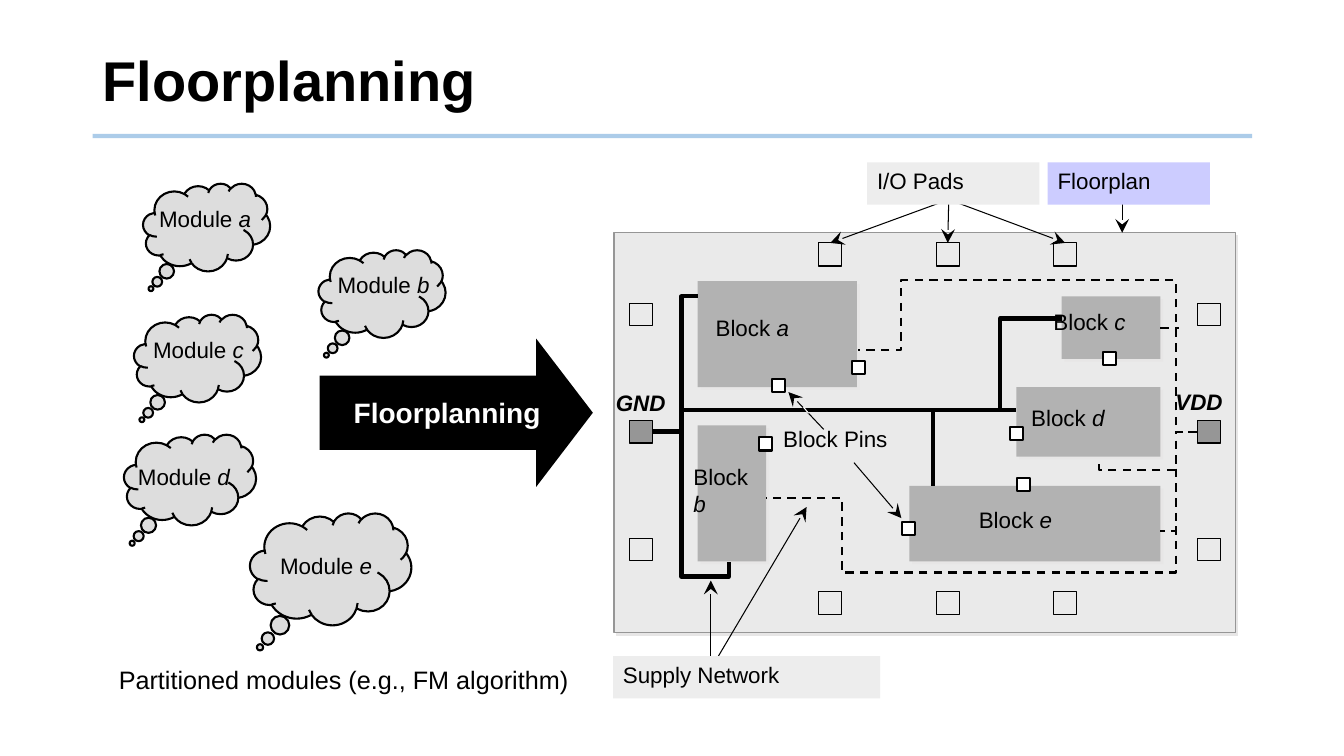
import lxml.etree
import pptx
import pptx.dml.color
import pptx.enum.dml
import pptx.enum.shapes
import pptx.enum.text
import pptx.oxml.ns
import pptx.util

# Grid of 133.3 columns by 75 rows, each a tenth of an inch
CELL = pptx.util.Inches(0.1)
COLUMNS, ROWS = 133.3, 75

COLORS = {
    "ink": "000000", "paper": "FFFFFF", "rule": "5B9BD5", "cloud": "DDDDDD",
    "die": "EAEAEA", "die edge": "969696", "block": "B2B2B2", "shade": "E7E6E6",
    "supply": "969696", "label": "EDEDED", "floorplan": "CCCCFF",
}
FONT = {"name": "Arial", "size": pptx.util.Pt(16), "bold": False, "italic": False}
FRAME = {"word_wrap": True, "vertical_anchor": pptx.enum.text.MSO_ANCHOR.TOP}
SHAPES = pptx.enum.shapes.MSO_SHAPE
qn = pptx.oxml.ns.qn


def grid(*cells):
    return [round(cell * CELL) for cell in cells]


def color(name):
    return pptx.dml.color.RGBColor.from_string(COLORS[name])


def set_all(target, values):
    for key, value in values.items():
        setattr(target, key, value)


def stroke(part, name, width, dashed=False):
    part.line.color.rgb = color(name)
    part.line.width = pptx.util.Pt(width)
    if dashed:
        part.line.dash_style = pptx.enum.dml.MSO_LINE.DASH


def write(part, text, variable="", ink="ink", frame=None, **font):
    """Write text, then an italic variable name."""
    set_all(part.text_frame, FRAME | (frame or {}))
    paragraph = part.text_frame.paragraphs[0]
    paragraph.alignment = pptx.enum.text.PP_ALIGN.LEFT
    for words, style in ((text, font), (variable, font | {"italic": True})):
        if not words:
            continue
        if words == variable and text == "Block":
            paragraph.add_line_break()
        run = paragraph.add_run()
        run.text = words
        set_all(run.font, FONT | style)
        run.font.color.rgb = color(ink)
    return paragraph


def add_text(slide, box, text, variable="", **options):
    return write(slide.shapes.add_textbox(*grid(*box)), text, variable, **options)


def add_part(slide, box, fill=None, edge=None, width=0.75, kind=SHAPES.RECTANGLE,
             adjust=(), shaded=False):
    part = slide.shapes.add_shape(kind, *grid(*box))
    for index, value in enumerate(adjust):
        part.adjustments[index] = value
    if fill:
        part.fill.solid()
        part.fill.fore_color.rgb = color(fill)
    else:
        part.fill.background()
    if edge:
        stroke(part, edge, width)
    else:
        part.line.fill.background()
    part.shadow.inherit = False
    if shaded:
        effects = part.element.spPr.find(qn("a:effectLst"))
        shade = lxml.etree.SubElement(effects, qn("a:outerShdw"), dist="35921",
                                      dir="2700000", algn="ctr", rotWithShape="0")
        lxml.etree.SubElement(shade, qn("a:srgbClr"), val=COLORS["shade"])
    return part


def add_line(slide, ends, name="ink", width=0.75, dashed=False, arrow=False,
             start=None, target=None, alpha=None):
    """Draw a straight line; start and target are (shape, side) joints."""
    line = slide.shapes.add_connector(
        pptx.enum.shapes.MSO_CONNECTOR.STRAIGHT, *grid(*ends))
    if start:
        line.begin_connect(*start)
    if target:
        line.end_connect(*target)
    stroke(line, name, width, dashed)
    properties = line.element.spPr
    outline = properties.find(qn("a:ln"))
    if alpha:
        lxml.etree.SubElement(outline.find(".//" + qn("a:srgbClr")), qn("a:alpha"),
                              val=str(alpha * 1000))
    if arrow:
        lxml.etree.SubElement(outline, qn("a:tailEnd"), type="stealth", w="lg", len="lg")
    lxml.etree.SubElement(properties, qn("a:effectLst"))


def add_wire(slide, points, width, dashed=False):
    corners = [grid(*point) for point in points]
    builder = slide.shapes.build_freeform(*corners[0], scale=1.0)
    builder.add_line_segments(corners[1:], close=False)
    wire = builder.convert_to_shape()
    wire.fill.background()
    stroke(wire, "ink", width, dashed)
    wire.shadow.inherit = False


def add_module(slide, name, cloud, caption):
    add_part(slide, cloud, "cloud", "ink", 1.5, SHAPES.CLOUD_CALLOUT, (-0.438, 0.7))
    add_text(slide, caption, "Module ", name)


def add_label(slide, box, text, fill="label"):
    write(add_part(slide, box, fill), text)


def add_pads(slide):
    """Place the ring of I/O pads and return the top row."""
    pad, pitch = 2.3, 11.65
    top_pads = []
    for step in range(3):
        across, down = 81.2 + step * pitch, 30.1 + step * pitch
        top_pads.append(add_part(slide, (across, 24.1, pad, pad), edge="ink"))
        add_part(slide, (across, 58.65, pad, pad), edge="ink")
        for side in (62.4, 118.8):
            add_part(slide, (side, down, pad, 2.2), "supply" if step == 1 else None, "ink")
    return top_pads


def main():
    deck = pptx.Presentation()
    deck.slide_width, deck.slide_height = grid(COLUMNS, ROWS)
    slide = deck.slides.add_slide(deck.slide_layouts[6])

    # Title and rule
    add_line(slide, (9.2, 13.5, 124.2, 13.5), "rule", 3, alpha=50)
    title = add_text(slide, (9.2, 2.8, 115, 11), "Floorplanning",
                     frame={"vertical_anchor": pptx.enum.text.MSO_ANCHOR.MIDDLE},
                     size=pptx.util.Pt(40), bold=True)
    title.line_spacing = 0.9

    # Partitioned modules
    add_part(slide, (31.7, 33.6, 27.1, 14.7), "ink", kind=SHAPES.RIGHT_ARROW,
             adjust=(0.501, 0.382))
    for name, cloud, caption in (
        ("e", (24.8, 50.9, 16, 11.1), (26.8, 54.3, 14.9, 3.7)),
        ("d", (12.3, 43.1, 13.1, 9), (12.7, 45.5, 13, 3.7)),
        ("c", (13.3, 31.2, 12.6, 8.7), (14.2, 32.9, 13.9, 3.7)),
        ("b", (31.6, 24.8, 12.6, 8.7), (32.5, 26.4, 12.9, 3.7)),
        ("a", (14.2, 18.2, 12.6, 8.7), (14.8, 19.9, 12.8, 3.7)),
    ):
        add_module(slide, name, cloud, caption)
    add_text(slide, (34.1, 38.7, 21.1, 4.4), "Floorplanning", ink="paper",
             size=pptx.util.Pt(20), bold=True)
    add_text(slide, (10.8, 65.4, 48, 4), "Partitioned modules (e.g., FM algorithm)",
             size=pptx.util.Pt(18))

    # Floorplan with its blocks and pads
    add_part(slide, (60.9, 23.1, 61.6, 39.7), "die", "die edge", shaded=True)
    blocks = {
        "a": ((69.2, 27.9, 15.8, 10.5), (70, 30.7, 13.3, 4.2)),
        "c": ((105.3, 29.4, 9.8, 6.2), (103.5, 30.1, 13.5, 4.2)),
        "d": ((100.8, 38.4, 14.3, 6.9), (101.3, 39.6, 13.3, 4.2)),
        "b": ((69.2, 42.2, 6.8, 13.5), (67.8, 45.5, 9.6, 7.3)),
        "e": ((90.2, 48.2, 24.9, 7.5), (96.1, 49.7, 13.5, 4.2)),
    }
    block_parts = {name: add_part(slide, box, "block", shaded=True)
                   for name, (box, _) in blocks.items()}
    top_pads = add_pads(slide)

    # Ground network
    for ends in ((67.7, 40.7, 100.8, 40.7), (92.5, 40.7, 92.5, 48.2)):
        add_line(slide, ends, width=3)
    for points in (
        ((64.7, 42.8), (67.6, 42.8), (67.6, 29.4), (69.2, 29.4)),
        ((99.2, 40.6), (99.2, 31.6), (105.3, 31.6)),
        ((67.6, 42.7), (67.6, 57.2), (72.3, 57.2), (72.3, 55.8)),
    ):
        add_wire(slide, points, 3)

    # Power network
    add_line(slide, (115.1, 32.5, 116.9, 32.5), width=1.5, dashed=True,
             start=(block_parts["c"], 3))
    for points in (
        ((118.7, 42.9), (116.6, 42.9), (116.6, 46.6), (109, 46.6), (109, 45.4)),
        ((116.6, 46.5), (116.6, 52.7), (115.1, 52.7)),
        ((116.6, 52.2), (116.6, 56.8), (83.5, 56.8), (83.5, 49.4), (76, 49.4)),
        ((118.8, 42.9), (116.6, 42.9), (116.6, 27.8), (89.4, 27.8), (89.4, 34.7),
         (85.1, 34.7)),
    ):
        add_wire(slide, points, 1.5, dashed=True)

    # Block pins
    for across, down in ((75.3, 43.4), (76.6, 37.6), (84.5, 35.8), (100.2, 42.4),
                         (109.4, 34.9), (100.9, 47.4), (89.5, 51.8)):
        add_part(slide, (across, down, 1.3, 1.3), "paper", "ink", 1.5)

    # Names inside the floorplan
    for name, (_, caption) in blocks.items():
        add_text(slide, caption, "Block" if name == "b" else "Block ", name)
    for box, supply in (((60.1, 38.1, 7.9, 4.2), "GND"), ((115.6, 38, 7.6, 4.2), "VDD")):
        add_text(slide, box, supply, bold=True, italic=True)
    add_text(slide, (76.7, 41.7, 16.3, 4.2), "Block Pins")

    # Pointers and labels
    for pad in top_pads:
        add_line(slide, (94.1, 19.8, 94.1, 24), arrow=True, target=(pad, 0))
    for ends in ((111.3, 19.3, 111.3, 23.1), (70.5, 66.1, 70.5, 57.6),
                 (70.6, 66.2, 80, 50.3), (81.7, 42.6, 78.2, 38.9),
                 (84.7, 45.9, 89.4, 51.4)):
        add_line(slide, ends, arrow=True)
    add_line(slide, (79.7, 40.4, 80.2, 41), "paper")
    add_label(slide, (86, 16.1, 17.1, 4.2), "I/O Pads")
    add_label(slide, (103.9, 16.1, 16.1, 4.2), "Floorplan", "floorplan")
    add_label(slide, (60.8, 65.1, 26.5, 4.2), "Supply Network")

    deck.save("out.pptx")


if __name__ == "__main__":
    main()
